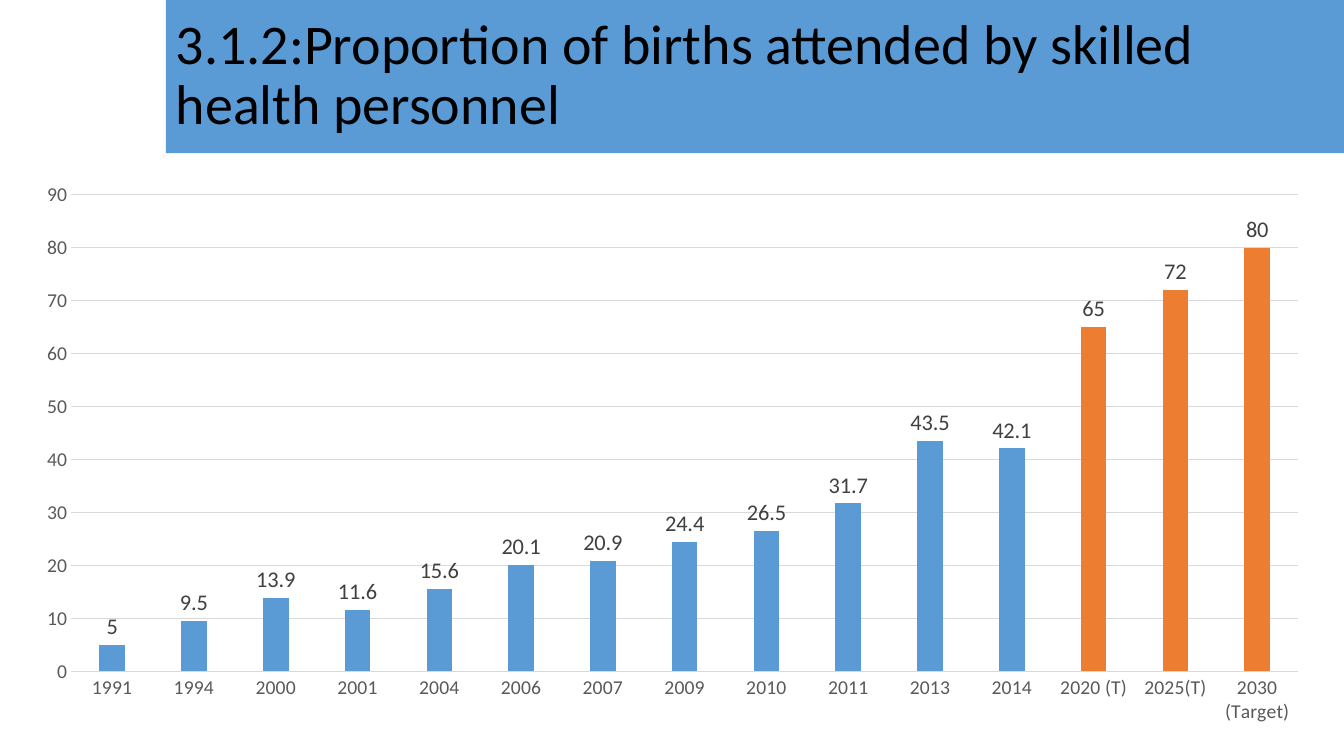
from dataclasses import dataclass

from pptx import Presentation
from pptx.chart.data import CategoryChartData
from pptx.dml.color import RGBColor
from pptx.enum.chart import XL_CHART_TYPE, XL_LABEL_POSITION, XL_TICK_MARK
from pptx.enum.text import MSO_ANCHOR, MSO_AUTO_SIZE, PP_ALIGN
from pptx.util import Cm, Pt


@dataclass(frozen=True)
class Theme:
    font: str = "Calibri"
    black: RGBColor = RGBColor(0x00, 0x00, 0x00)
    blue: RGBColor = RGBColor(0x5B, 0x9B, 0xD5)
    orange: RGBColor = RGBColor(0xED, 0x7D, 0x31)
    grid: RGBColor = RGBColor(0xD9, 0xD9, 0xD9)
    axis_text: RGBColor = RGBColor(0x59, 0x59, 0x59)
    label_text: RGBColor = RGBColor(0x40, 0x40, 0x40)
    title_size: Pt = Pt(40)
    label_size: Pt = Pt(16)
    axis_size: Pt = Pt(14)
    chart_size: Pt = Pt(10)
    line_width: Pt = Pt(0.75)


theme = Theme()


def style_font(font, size, color):
    font.name = theme.font
    font.size = size
    font.color.rgb = color


measured = {
    "1991": 5, "1994": 9.5, "2000": 13.9, "2001": 11.6, "2004": 15.6, "2006": 20.1,
    "2007": 20.9, "2009": 24.4, "2010": 26.5, "2011": 31.7, "2013": 43.5, "2014": 42.1,
}
targets = {"2020 (T)": 65, "2025(T)": 72, "2030 (Target)": 80}
births = measured | targets

presentation = Presentation()
presentation.slide_width = Cm(33.87)
presentation.slide_height = Cm(19.05)
slide = presentation.slides.add_slide(presentation.slide_layouts[5])

# Title band
title = slide.shapes.title
title.left, title.top, title.width, title.height = Cm(4.18), Cm(0), Cm(29.69), Cm(3.86)
title.fill.solid()
title.fill.fore_color.rgb = theme.blue
text_frame = title.text_frame
text_frame.text = "3.1.2:Proportion of births attended by skilled health personnel"
text_frame.word_wrap = True
text_frame.auto_size = MSO_AUTO_SIZE.NONE
text_frame.vertical_anchor = MSO_ANCHOR.MIDDLE
paragraph = text_frame.paragraphs[0]
paragraph.alignment = PP_ALIGN.LEFT
paragraph.line_spacing = 0.9
style_font(paragraph.runs[0].font, theme.title_size, theme.black)

# Column chart
chart_data = CategoryChartData()
chart_data.categories = list(births)
chart_data.add_series("Series 1", list(births.values()))
chart = slide.shapes.add_chart(
    XL_CHART_TYPE.COLUMN_CLUSTERED, Cm(0.53), Cm(4.32), Cm(32.84), Cm(14.2), chart_data
).chart
chart.has_title = False
chart.has_legend = False
style_font(chart.font, theme.chart_size, theme.black)

for axis in (chart.category_axis, chart.value_axis):
    axis.major_tick_mark = XL_TICK_MARK.NONE
    axis.minor_tick_mark = XL_TICK_MARK.NONE
    style_font(axis.tick_labels.font, theme.axis_size, theme.axis_text)

chart.value_axis.minimum_scale = 0
chart.value_axis.maximum_scale = 90
chart.value_axis.major_unit = 10
chart.value_axis.format.line.fill.background()
for line in (chart.category_axis.format.line, chart.value_axis.major_gridlines.format.line):
    line.color.rgb = theme.grid
    line.width = theme.line_width

plot = chart.plots[0]
plot.vary_by_categories = False
plot.gap_width = 219
plot.overlap = -27

series = plot.series[0]
series.format.fill.solid()
series.format.fill.fore_color.rgb = theme.blue
for index in range(len(measured), len(births)):
    fill = series.points[index].format.fill
    fill.solid()
    fill.fore_color.rgb = theme.orange

labels = series.data_labels
labels.show_value = True
labels.position = XL_LABEL_POSITION.OUTSIDE_END
style_font(labels.font, theme.label_size, theme.label_text)

presentation.save("out.pptx")
